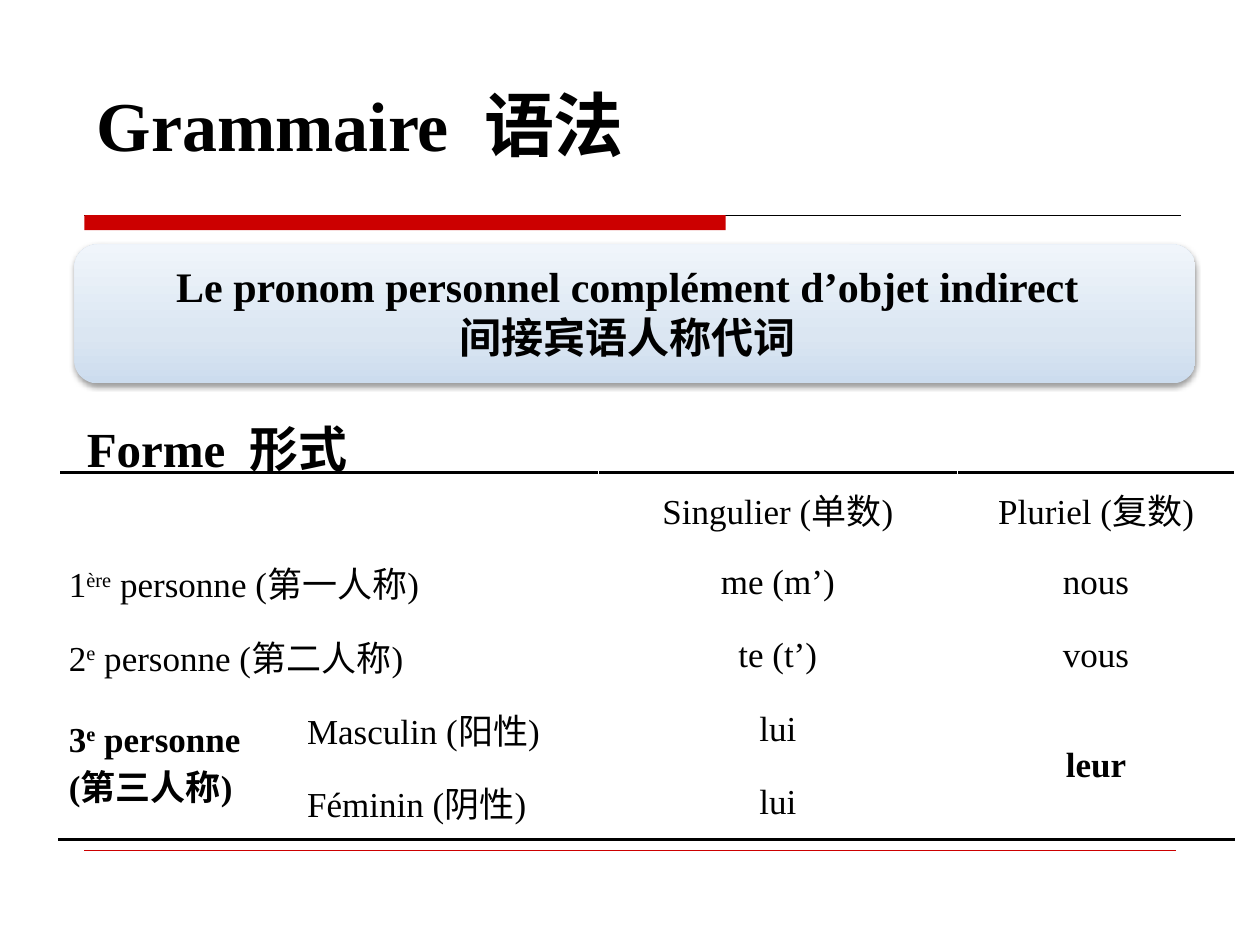
from dataclasses import dataclass

from lxml import etree
from pptx import Presentation
from pptx.dml.color import RGBColor
from pptx.enum.shapes import MSO_CONNECTOR, MSO_SHAPE
from pptx.enum.text import MSO_ANCHOR, MSO_AUTO_SIZE, PP_ALIGN
from pptx.oxml import parse_xml
from pptx.oxml.ns import nsdecls, qn
from pptx.util import Cm, Pt

LEFT, CENTER, JUSTIFY = PP_ALIGN.LEFT, PP_ALIGN.CENTER, PP_ALIGN.JUSTIFY
TOP, MIDDLE = MSO_ANCHOR.TOP, MSO_ANCHOR.MIDDLE
BLACK = RGBColor(0x00, 0x00, 0x00)
WHITE = RGBColor(0xFF, 0xFF, 0xFF)
RED = RGBColor(0xCC, 0x00, 0x00)
FONT = "Times New Roman"

COL_WIDTHS = [4.8, 6.07, 7.24, 5.59]
ROW_COUNT, ROW_HEIGHT = 5, 1.48


@dataclass
class Entry:
    """A table cell; text between ^ marks is superscript."""
    row: int
    col: int
    text: str
    align: PP_ALIGN = CENTER
    rows: int = 1
    cols: int = 1
    bold: bool = False


ENTRIES = [
    Entry(0, 0, "", cols=2),
    Entry(0, 2, "Singulier (单数)"),
    Entry(0, 3, "Pluriel (复数)"),
    Entry(1, 0, "1^ère^ personne (第一人称)", JUSTIFY, cols=2),
    Entry(1, 2, "me (m’)"),
    Entry(1, 3, "nous"),
    Entry(2, 0, "2^e^ personne (第二人称)", JUSTIFY, cols=2),
    Entry(2, 2, "te (t’)"),
    Entry(2, 3, "vous"),
    Entry(3, 0, "3^e^ personne\n(第三人称)", JUSTIFY, rows=2, bold=True),
    Entry(3, 1, "Masculin (阳性)", JUSTIFY),
    Entry(3, 2, "lui"),
    Entry(3, 3, "leur", rows=2, bold=True),
    Entry(4, 1, "Féminin (阴性)", JUSTIFY),
    Entry(4, 2, "lui"),
]


def style_font(font, size: float, bold: bool) -> None:
    font.name, font.size, font.bold = FONT, Pt(size), bold
    font.color.rgb = BLACK


def write(sp, text: str, size: float, align: PP_ALIGN = LEFT, spacing: float = 1.0) -> None:
    tf = sp.text_frame
    tf.word_wrap = True
    tf.auto_size = MSO_AUTO_SIZE.NONE
    tf.vertical_anchor = TOP
    tf.text = text
    for p in tf.paragraphs:
        p.alignment, p.line_spacing = align, spacing
        for r in p.runs:
            style_font(r.font, size, True)


def add_rule(s, x1: float, x2: float, y: float, color: RGBColor, width: float) -> None:
    line = s.shapes.add_connector(MSO_CONNECTOR.STRAIGHT, Cm(x1), Cm(y), Cm(x2), Cm(y))
    line.line.color.rgb, line.line.width = color, Pt(width)
    etree.SubElement(line._element.spPr, qn("a:effectLst"))


def add_bar(s) -> None:
    sp = s.shapes.add_shape(MSO_SHAPE.RECTANGLE, Cm(1.7), Cm(4.34), Cm(12.93), Cm(0.3))
    sp.shadow.inherit = False
    sp.fill.solid()
    sp.fill.fore_color.rgb = RED
    sp.line.fill.background()


def add_banner(s) -> None:
    """Rounded panel with a vertical gradient and a soft shadow."""
    sp = s.shapes.add_shape(MSO_SHAPE.ROUNDED_RECTANGLE, Cm(1.5), Cm(4.93), Cm(22.6), Cm(2.8))
    sp.line.fill.background()
    stops = "".join(
        f'<a:gs pos="{pos}000"><a:srgbClr val="{color}"/></a:gs>'
        for pos, color in [(0, "CCDCEE"), (35, "DBE6F2"), (100, "F0F5FB")])
    sp_pr = sp._element.spPr
    sp_pr.find(qn("a:prstGeom")).addnext(parse_xml(
        f'<a:gradFill {nsdecls("a")} rotWithShape="1"><a:gsLst>{stops}</a:gsLst>'
        '<a:lin ang="16200000" scaled="1"/></a:gradFill>'))
    sp_pr.append(parse_xml(
        f'<a:effectLst {nsdecls("a")}><a:outerShdw blurRad="{Pt(3.1)}" dist="{Pt(1.6)}" '
        'dir="5400000" rotWithShape="0"><a:srgbClr val="000000"><a:alpha val="38000"/>'
        '</a:srgbClr></a:outerShdw></a:effectLst>'))


def add_border(cell, side: str) -> None:
    cell._tc.get_or_add_tcPr().insert(0, parse_xml(
        f'<a:ln{side} {nsdecls("a")} w="{Pt(2)}"><a:solidFill>'
        f'<a:srgbClr val="{BLACK}"/></a:solidFill></a:ln{side}>'))


def fill_entry(table, entry: Entry) -> None:
    cell = table.cell(entry.row, entry.col)
    last_row = entry.row + entry.rows - 1
    if entry.rows * entry.cols > 1:
        cell.merge(table.cell(last_row, entry.col + entry.cols - 1))
    cell.vertical_anchor = MIDDLE
    cell.margin_left = cell.margin_right = Cm(0.2)
    cell.margin_top = cell.margin_bottom = 0
    tf = cell.text_frame
    for i, line in enumerate(entry.text.split("\n")):
        p = tf.add_paragraph() if i else tf.paragraphs[0]
        p.alignment = entry.align
        for j, part in enumerate(line.split("^")):
            r = p.add_run()
            r.text = part
            style_font(r.font, 20, entry.bold)
            if j % 2:
                r._r.get_or_add_rPr().set("baseline", "30000")
    if last_row == ROW_COUNT - 1 and entry.rows > 1:
        add_border(cell, "B")


def add_forms_table(s) -> None:
    frame = s.shapes.add_table(ROW_COUNT, len(COL_WIDTHS), Cm(1.19), Cm(9.52),
                               Cm(sum(COL_WIDTHS)), Cm(ROW_COUNT * ROW_HEIGHT))
    table = frame.table
    table.first_row = table.horz_banding = False
    for col, width in zip(table.columns, COL_WIDTHS):
        col.width = Cm(width)
    for row in table.rows:
        row.height = Cm(ROW_HEIGHT)
        for cell in row.cells:
            cell.fill.solid()
            cell.fill.fore_color.rgb = WHITE
    for col in range(len(COL_WIDTHS)):
        add_border(table.cell(0, col), "T")
        add_border(table.cell(ROW_COUNT - 1, col), "B")
    for entry in ENTRIES:
        fill_entry(table, entry)


def main() -> None:
    prs = Presentation()
    prs.slide_width, prs.slide_height = Cm(25.4), Cm(19.05)
    s = prs.slides.add_slide(prs.slide_layouts[5])

    add_rule(s, 1.7, 23.8, 4.34, BLACK, 0.75)
    add_bar(s)
    add_rule(s, 1.7, 23.7, 17.15, RED, 0.25)

    title = s.shapes.title
    title.left, title.top, title.width, title.height = Cm(1.7), Cm(1.52), Cm(19.8), Cm(1.96)
    write(title, "Grammaire  语法", 40)

    heading = s.shapes.add_textbox(Cm(1.5), Cm(7.72), Cm(22.55), Cm(1.83))
    write(heading, "Forme  形式", 28, spacing=1.5)
    add_forms_table(s)

    add_banner(s)
    topic = s.shapes.add_textbox(Cm(2.5), Cm(5.13), Cm(20.3), Cm(2.3))
    write(topic, "Le pronom personnel complément d’objet indirect\n间接宾语人称代词", 24, CENTER)

    prs.save("out.pptx")


if __name__ == "__main__":
    main()
